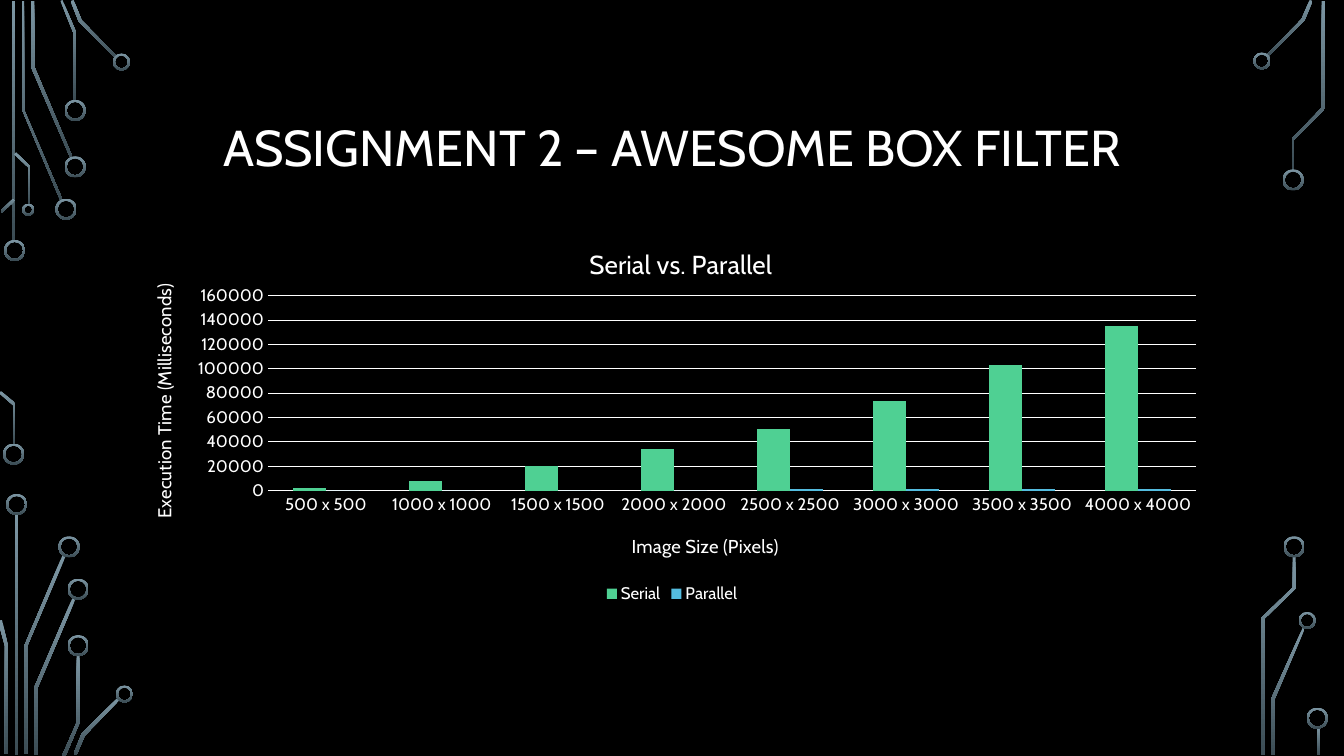
import pptx
import pptx.chart.data
import pptx.dml.color
import pptx.enum.chart
import pptx.enum.shapes
import pptx.enum.text
import pptx.oxml
import pptx.util

PX = 9144
FONT = "Cabin"
RGB = pptx.dml.color.RGBColor
BLACK = RGB(0x00, 0x00, 0x00)
WHITE = RGB(0xFF, 0xFF, 0xFF)
TRACE_TOP = RGB(0x7C, 0x96, 0xA3)
TRACE_BOTTOM = RGB(0x3B, 0x4C, 0x54)
GREEN = RGB(0x4F, 0xD0, 0x93)
BLUE = RGB(0x54, 0xBC, 0xDF)
RING_WIDTH = 2

TOP_LEFT = {
    "box": (0, 0),
    "traces": [
        [(12, 1), (15, 1), (15, 240), (12, 240)],
        [(60, 199), (22, 109), (22, 1), (24, 1), (24, 109), (62, 198)],
        [(70, 157), (31, 67), (31, 1), (34, 1), (34, 66), (72, 156)],
        [(76, 100), (73, 100), (73, 33), (60, 1), (62, 0), (76, 33)],
        [(115, 58), (78, 21), (70, 1), (73, 0), (81, 20), (116, 56)],
        [(2, 211), (1, 209), (13, 197), (15, 199)],
        [(15, 441), (13, 441), (13, 402), (-1, 390), (1, 388), (15, 400)],
        [(30, 203), (28, 203), (28, 166), (14, 153), (16, 151), (30, 165)],
    ],
    "rings": [(4, 238, 21), (3, 440, 21), (55, 197, 21), (64, 155, 21),
              (64, 99, 21), (112, 53, 17), (22, 202, 12)],
}
BOTTOM_LEFT = {
    "box": (0, 480),
    "traces": [
        [(15, 30), (18, 30), (18, 269), (15, 269)],
        [(27, 268), (24, 268), (24, 161), (62, 71), (65, 72), (27, 161)],
        [(8, 268), (5, 268), (5, 161), (-2, 136), (2, 135), (8, 161)],
        [(37, 269), (34, 269), (34, 202), (72, 113), (75, 114), (37, 203)],
        [(65, 270), (62, 269), (76, 237), (76, 170), (79, 170), (79, 237)],
        [(76, 269), (73, 268), (81, 248), (117, 212), (119, 214), (84, 250)],
    ],
    "rings": [(6, 10, 21), (58, 52, 21), (67, 94, 21), (67, 150, 21),
              (115, 200, 17)],
}
TOP_RIGHT = {
    "box": (1240, 0),
    "traces": [
        [(18, 56), (16, 55), (51, 19), (59, 0), (62, 1), (54, 20)],
        [(43, 169), (41, 169), (41, 138), (71, 107), (71, 1), (74, 1),
         (74, 108), (43, 139)],
    ],
    "rings": [(3, 52, 17), (32, 168, 21)],
}
BOTTOM_RIGHT = {
    "box": (1240, 520),
    "traces": [
        [(24, 229), (21, 229), (21, 173), (52, 103), (54, 104), (24, 174)],
        [(14, 229), (11, 229), (11, 93), (42, 63), (42, 32), (45, 32),
         (45, 64), (14, 94)],
        [(66, 201), (69, 201), (69, 229), (66, 229)],
    ],
    "rings": [(48, 87, 17), (33, 12, 21), (56, 182, 21)],
}

CATEGORIES = [f"{n} x {n}" for n in range(500, 4001, 500)]
SERIES = [
    ("Serial", [2000, 8000, 20000, 34000, 51000, 74000, 103000, 135000], GREEN),
    ("Parallel", [0, 0, 0, 0, 1000, 1000, 1000, 1000], BLUE),
]


def px(*lengths):
    return [n * PX for n in lengths]


def style_font(font, size):
    font.name = FONT
    font.size = pptx.util.Pt(size)
    font.bold = False
    font.color.rgb = WHITE


def write_text(tf, text, size, align=None, line_spacing=None):
    p = tf.paragraphs[0]
    p.alignment = align
    p.line_spacing = line_spacing
    r = p.add_run()
    r.text = text
    style_font(r.font, size)


def paint_metal(sp):
    sp.shadow.inherit = False
    sp.line.fill.background()
    sp.fill.gradient()
    sp.fill.gradient_angle = 270
    for stop, color, position in zip(
            sp.fill.gradient_stops, (TRACE_TOP, TRACE_BOTTOM), (0, 1)):
        stop.color.rgb = color
        stop.position = position


def draw_circuit(s, box, traces, rings):
    left, top = box
    for trace in traces:
        points = [(left + x, top + y) for x, y in trace]
        outline = s.shapes.build_freeform(*points[0], scale=PX)
        outline.add_line_segments(points[1:], close=True)
        paint_metal(outline.convert_to_shape())
    for x, y, size in rings:
        sp = s.shapes.add_shape(pptx.enum.shapes.MSO_SHAPE.DONUT,
                                *px(left + x, top + y, size, size))
        sp.adjustments[0] = RING_WIDTH / size
        paint_metal(sp)


def draw_title(s, box):
    tf = s.shapes.add_textbox(*px(*box)).text_frame
    tf.word_wrap = True
    tf.vertical_anchor = pptx.enum.text.MSO_ANCHOR.MIDDLE
    write_text(tf, "ASSIGNMENT 2 – AWESOME BOX FILTER", 36,
               align=pptx.enum.text.PP_ALIGN.CENTER, line_spacing=0.9)


def place(element, target="", **fractions):
    ns = pptx.oxml.ns.nsdecls("c")
    inner = f'<c:layoutTarget val="{target}"/>' if target else ""
    modes = "".join(f'<c:{k}Mode val="edge"/>' for k in "xy")
    values = "".join(f'<c:{k} val="{v}"/>' for k, v in fractions.items())
    layout = pptx.oxml.parse_xml(
        f"<c:layout {ns}><c:manualLayout>{inner}{modes}{values}"
        "</c:manualLayout></c:layout>")
    for old in element.findall(pptx.oxml.ns.qn("c:layout")):
        element.remove(old)
    tx = element.find(pptx.oxml.ns.qn("c:tx"))
    if tx is None:
        element.insert(0, layout)
    else:
        tx.addnext(layout)


def draw_chart(s, box):
    data = pptx.chart.data.CategoryChartData()
    data.categories = CATEGORIES
    for name, values, _ in SERIES:
        data.add_series(name, values)
    kind = pptx.enum.chart.XL_CHART_TYPE.COLUMN_CLUSTERED
    chart = s.shapes.add_chart(kind, *px(*box), data).chart
    style_font(chart.font, 10)

    plot = chart.plots[0]
    plot.gap_width = 150
    plot.overlap = 0
    plot.vary_by_categories = False
    for series, (_, _, color) in zip(plot.series, SERIES):
        series.format.fill.solid()
        series.format.fill.fore_color.rgb = color
        series.invert_if_negative = False

    for axis in (chart.category_axis, chart.value_axis):
        axis.major_tick_mark = pptx.enum.chart.XL_TICK_MARK.NONE
        axis.minor_tick_mark = pptx.enum.chart.XL_TICK_MARK.NONE
        axis.format.line.fill.background()
        style_font(axis.tick_labels.font, 12)
    chart.value_axis.minimum_scale = 0
    chart.value_axis.maximum_scale = 160000
    chart.value_axis.major_unit = 20000
    grid = chart.value_axis.major_gridlines.format.line
    grid.color.rgb = WHITE
    grid.width = pptx.util.Pt(0.75)

    for owner, text, size, x, y in (
            (chart, "Serial vs. Parallel", 18.6, 0.42, 0.06),
            (chart.category_axis, "Image Size (Pixels)", 13.3, 0.46, 0.8),
            (chart.value_axis, "Execution Time (Milliseconds)", 13.3, 0.02, 0.16)):
        owner.has_title = True
        title = (owner.chart_title if owner is chart else owner.axis_title)
        write_text(title.text_frame, text, size)
        place(title._element, x=x, y=y)
    chart.chart_title.include_in_layout = False
    place(chart._chartSpace.chart.plotArea, "inner", x=0.13, y=0.2, w=0.85, h=0.5)

    chart.has_legend = True
    chart.legend.position = pptx.enum.chart.XL_LEGEND_POSITION.BOTTOM
    chart.legend.include_in_layout = False
    style_font(chart.legend.font, 12)


def main():
    prs = pptx.Presentation()
    prs.slide_width, prs.slide_height = px(1333, 750)
    s = prs.slides.add_slide(prs.slide_layouts[6])
    s.background.fill.solid()
    s.background.fill.fore_color.rgb = BLACK
    for circuit in (TOP_LEFT, BOTTOM_LEFT, TOP_RIGHT, BOTTOM_RIGHT):
        draw_circuit(s, **circuit)
    draw_title(s, (125, 68, 1083, 162))
    draw_chart(s, (125, 216, 1083, 387))
    prs.save("out.pptx")


if __name__ == "__main__":
    main()
